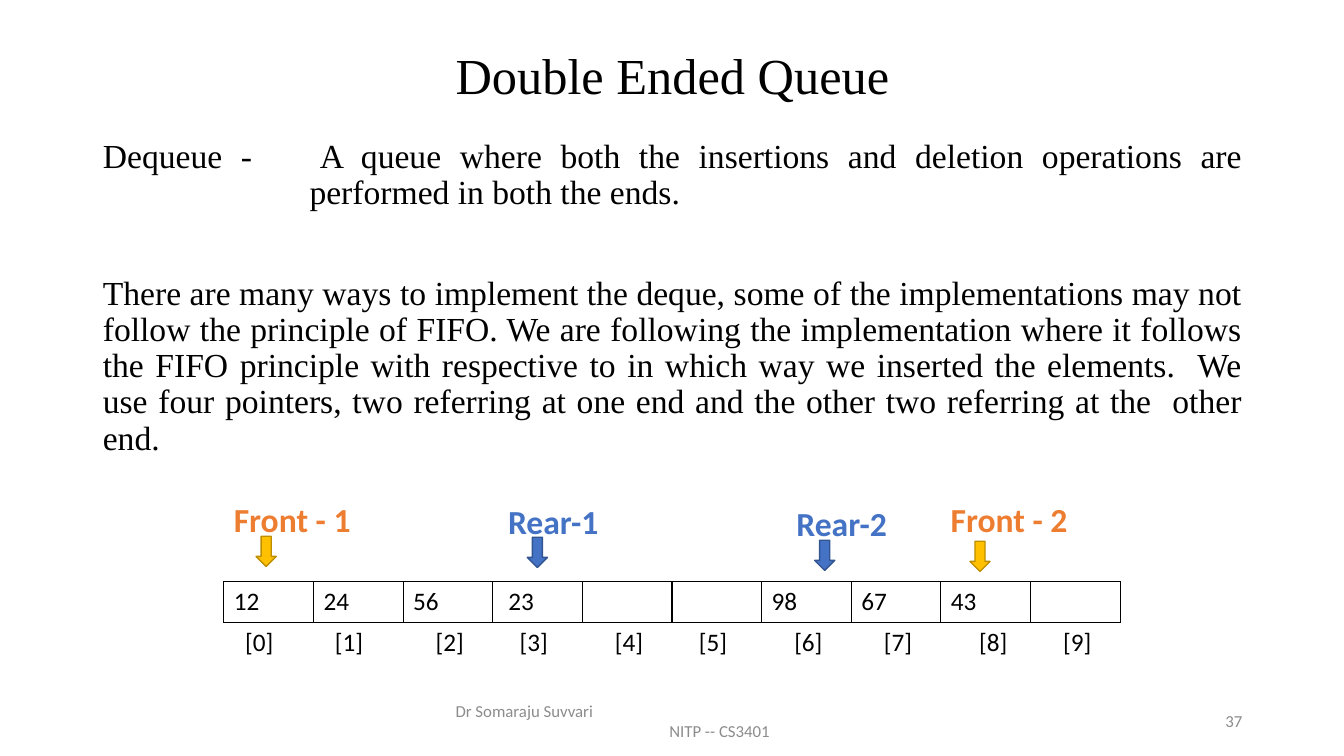
"""Build the double ended queue slide."""
from lxml import etree
from pptx import Presentation
from pptx.dml.color import RGBColor
from pptx.enum.shapes import MSO_SHAPE
from pptx.enum.text import MSO_ANCHOR, MSO_AUTO_SIZE, PP_ALIGN
from pptx.oxml.ns import qn
from pptx.util import Inches, Pt

DOWN_ARROW = MSO_SHAPE.DOWN_ARROW
TOP, MIDDLE = MSO_ANCHOR.TOP, MSO_ANCHOR.MIDDLE
LEFT, CENTER, RIGHT, JUSTIFY = (
    PP_ALIGN.LEFT, PP_ALIGN.CENTER, PP_ALIGN.RIGHT, PP_ALIGN.JUSTIFY)
NO_AUTOFIT = MSO_AUTO_SIZE.NONE
SERIF, SANS = "Times New Roman", "Calibri"
BLACK, GRAY = "000000", "8C8C8C"
ORANGE, BLUE = "ED7D31", "4472C4"
GOLD, GOLD_EDGE, BLUE_EDGE = "FFC000", "BD8E00", "325491"

HANGING = 2.05
DEFINITION = ("Dequeue -\tA queue where both the insertions and deletion operations are"
              "\vperformed in both the ends.")
EXPLANATION = (
    "There are many ways to implement the deque, some of the implementations may not "
    "follow the principle of FIFO. We are following the implementation where it follows "
    "the FIFO principle with respective to in which way we inserted the elements.  We "
    "use four pointers, two referring at one end and the other two referring at the  "
    "other end.")

VALUES = ["12", "24", "56", "23", "", "", "98", "67", "43", ""]
VALUE_STEPS = [0, 0, 0, 1, 0, 0, 0, 0, 0, 0]
INDEX_STEPS = [2, 2, 4, 3, 4, 3, 4, 4, 5, 4]
STEP, INSET = 0.056, 0.1
CELL_WIDTH, ROW_HEIGHT = 0.889, 0.405

POINTERS = [
    ("Front - 1", 2.22, 4.9, 1.52, ORANGE, 2.54, 5.32, GOLD, GOLD_EDGE),
    ("Rear-1", 4.94, 4.92, 1.35, BLUE, 5.23, 5.33, BLUE, BLUE_EDGE),
    ("Rear-2", 7.8, 4.94, 1.35, BLUE, 8.08, 5.36, BLUE, BLUE_EDGE),
    ("Front - 2", 9.33, 4.9, 1.52, ORANGE, 9.62, 5.37, GOLD, GOLD_EDGE),
]


def rgb(color):
    """Turn a hex string into a colour."""
    return RGBColor.from_string(color)


def place(shape, left, top, width, height):
    """Move and size a shape, in inches."""
    shape.left, shape.top = Inches(left), Inches(top)
    shape.width, shape.height = Inches(width), Inches(height)


def style(para, size, color, face=SANS, align=LEFT, bold=False):
    """Set the font and alignment of a paragraph."""
    para.alignment = align
    para.font.size, para.font.name, para.font.bold = Pt(size), face, bold
    para.font.color.rgb = rgb(color)


def set_indent(para, left, first=0):
    """Set the left margin and first line indent without a bullet."""
    properties = para._p.get_or_add_pPr()
    properties.set("marL", str(Inches(left)))
    properties.set("indent", str(Inches(first)))
    etree.SubElement(properties, qn("a:buNone"))


def add_title(page):
    """Fill the title placeholder."""
    title = page.shapes.title
    place(title, 0.92, 0.4, 11.5, 0.75)
    frame = title.text_frame
    frame.text = "Double Ended Queue"
    frame.vertical_anchor, frame.auto_size = MIDDLE, NO_AUTOFIT
    style(frame.paragraphs[0], 36, BLACK, SERIF, CENTER)
    frame.paragraphs[0].line_spacing = 0.9


def add_body(page):
    """Fill the body placeholder with the definition and explanation."""
    body = page.placeholders[1]
    place(body, 0.92, 1.33, 11.5, 5.43)
    frame = body.text_frame
    frame.vertical_anchor, frame.auto_size = TOP, NO_AUTOFIT
    paras = [frame.paragraphs[0], frame.add_paragraph()]
    rows = [(DEFINITION, 10, HANGING), (EXPLANATION, 46, 0)]
    for para, (text, before, hanging) in zip(paras, rows):
        para.text = text
        style(para, 24, BLACK, SERIF, JUSTIFY)
        para.line_spacing, para.space_before = 0.9, Pt(before)
        set_indent(para, hanging, -hanging)


def add_text(page, lines, left, top, width, height, size, color,
             align=LEFT, bold=False, anchor=TOP):
    """Add a text box and return its paragraphs."""
    box = page.shapes.add_textbox(
        Inches(left), Inches(top), Inches(width), Inches(height))
    frame = box.text_frame
    frame.word_wrap, frame.vertical_anchor = True, anchor
    frame.text = "\n".join(lines)
    for para in frame.paragraphs:
        style(para, size, color, align=align, bold=bold)
    return frame.paragraphs


def add_arrow(page, left, top, fill, edge):
    """Add a small arrow pointing down at the array."""
    arrow = page.shapes.add_shape(
        DOWN_ARROW, Inches(left), Inches(top), Inches(0.2), Inches(0.3))
    arrow.shadow.inherit = False
    arrow.fill.solid()
    arrow.fill.fore_color.rgb = rgb(fill)
    arrow.line.color.rgb = rgb(edge)
    arrow.line.width = Pt(1)


def set_borders(cell, drawn):
    """Draw the named sides of a cell in black and clear the others."""
    properties = cell._tc.get_or_add_tcPr()
    for side in "LRTB":
        line = etree.SubElement(properties, qn(f"a:ln{side}"), w=str(Pt(1)))
        if side in drawn:
            fill = etree.SubElement(line, qn("a:solidFill"))
            etree.SubElement(fill, qn("a:srgbClr"), val=BLACK)
        else:
            etree.SubElement(line, qn("a:noFill"))


def add_array(page):
    """Add the array of values with its row of indices."""
    count = len(VALUES)
    table = page.shapes.add_table(
        2, count, Inches(2.22), Inches(5.77),
        Inches(CELL_WIDTH * count), Inches(ROW_HEIGHT * 2)).table
    table.first_row = table.horz_banding = False
    indices = [f"[{number}]" for number in range(count)]
    rows = [(VALUES, VALUE_STEPS, "LRTB"), (indices, INDEX_STEPS, "T")]
    for row, (texts, steps, sides) in enumerate(rows):
        for column, (text, step) in enumerate(zip(texts, steps)):
            cell = table.cell(row, column)
            cell.text = text
            cell.margin_left = Inches(INSET + STEP * step)
            style(cell.text_frame.paragraphs[0], 18, BLACK)
            set_borders(cell, sides)
            cell.fill.background()


def add_footer(page):
    """Add the author, course and page number."""
    paras = add_text(page, ["Dr Somaraju Suvvari", "NITP -- CS3401"],
                     4.42, 6.95, 4.5, 0.4, 12, GRAY, anchor=MIDDLE)
    set_indent(paras[1], 2.12)
    add_text(page, ["37"], 9.42, 6.95, 3, 0.4, 12, GRAY, RIGHT, anchor=MIDDLE)


def main():
    """Build and save the deck."""
    deck = Presentation()
    deck.slide_width, deck.slide_height = Inches(13.33), Inches(7.5)
    page = deck.slides.add_slide(deck.slide_layouts[1])
    add_title(page)
    add_body(page)
    add_footer(page)
    add_array(page)
    for label, left, top, width, color, arrow_left, arrow_top, fill, edge in POINTERS:
        add_text(page, [label], left, top, width, 0.5, 24, color, bold=True)
        add_arrow(page, arrow_left, arrow_top, fill, edge)
    deck.save("out.pptx")


if __name__ == "__main__":
    main()
